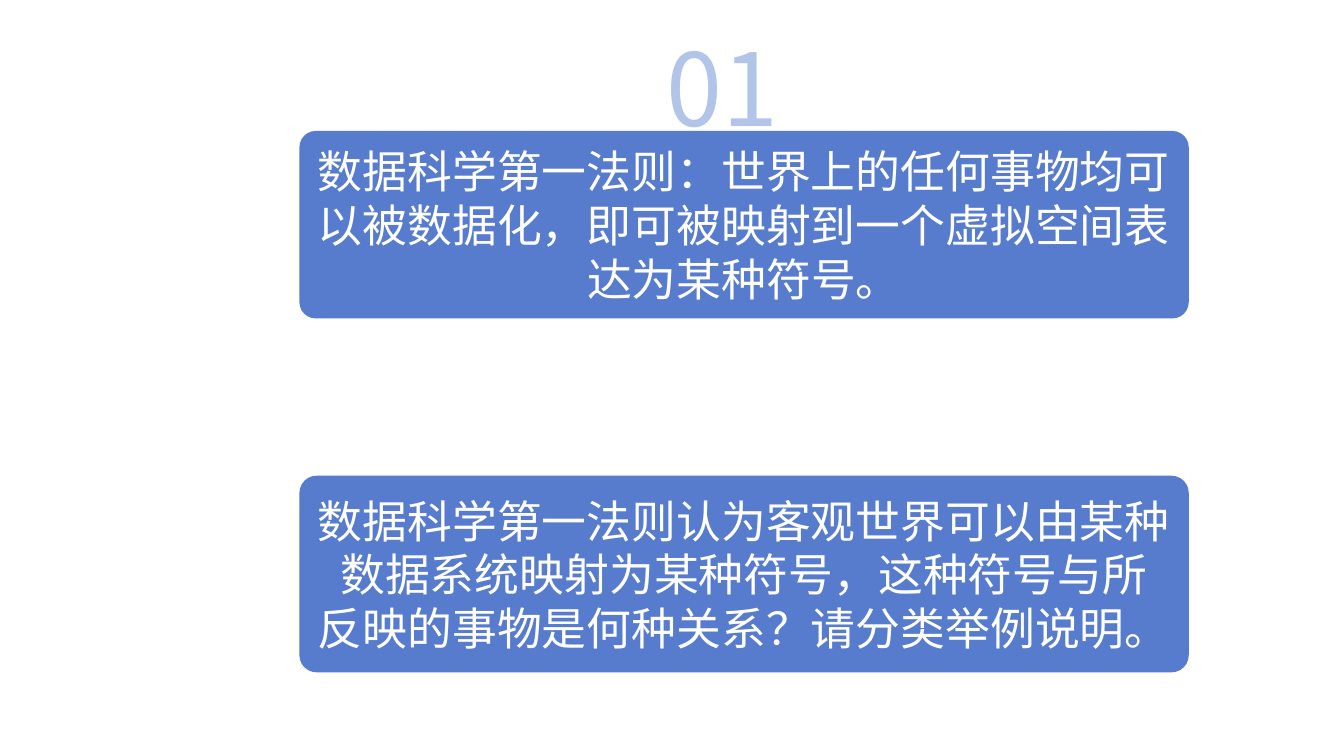
from dataclasses import dataclass

from lxml import etree
from pptx import Presentation
from pptx import util as u
from pptx.dml.color import RGBColor
from pptx.enum import shapes, text
from pptx.oxml import ns

WIDE, HIGH = u.Inches(13.33), u.Inches(7.5)
FACE = "Noto Sans CJK SC"
BLUE, PALE, WHITE = "577CCE", "B3C4E9", "FFFFFF"


@dataclass
class Card:
    top: float
    height: float
    lines: list[str]


# Tops and heights are shares of the slide's height.
CARDS = [
    Card(0.1733, 0.248, [
        "数据科学第一法则：世界上的任何事物均可以被数据化，即可被映射到一个虚拟空间表达为某种符号。",
    ]),
    Card(0.6293, 0.26, [
        "数据科学第一法则认为客观世界可以由某种数据系统映射为某种符号，这种符号与所",
        "反映的事物是何种关系？请分类举例说明。",
    ]),
]
LEFT, SPAN, ROUND = 0.2228, 0.6617, 0.087


def paint(fmt, tone: str) -> None:
    fmt.solid()
    fmt.fore_color.rgb = RGBColor.from_string(tone)


def place(left: float, top: float, width: float, height: float) -> list[int]:
    """Turn shares of the slide's size into lengths."""
    return [int(left * WIDE), int(top * HIGH), int(width * WIDE), int(height * HIGH)]


def write(frame, lines: list[str], size: int, tone: str) -> None:
    for i, line in enumerate(lines):
        para = frame.add_paragraph() if i else frame.paragraphs[0]
        para.text = line
        para.alignment = text.PP_ALIGN.CENTER
        font = para.font
        font.size = u.Pt(size)
        paint(font.fill, tone)
        font.name = FACE
        # East Asian characters take their face from a:ea.
        props = para._p.pPr.find(ns.qn("a:defRPr"))
        etree.SubElement(props, ns.qn("a:ea"), typeface=FACE)


def draw(slide, card: Card) -> None:
    box = slide.shapes.add_shape(
        shapes.MSO_SHAPE.ROUNDED_RECTANGLE,
        *place(LEFT, card.top, SPAN, card.height))
    box.adjustments[0] = ROUND
    box.shadow.inherit = False
    paint(box.fill, BLUE)
    box.line.fill.background()
    frame = box.text_frame
    frame.word_wrap = True
    frame.vertical_anchor = text.MSO_ANCHOR.MIDDLE
    write(frame, card.lines, 32, WHITE)


def main() -> None:
    deck = Presentation()
    deck.slide_width, deck.slide_height = WIDE, HIGH
    slide = deck.slides.add_slide(deck.slide_layouts[6])
    number = slide.shapes.add_textbox(*place(0.4884, 0.028, 0.0983, 0.1747))
    number.text_frame.word_wrap = False
    write(number.text_frame, ["01"], 72, PALE)
    for card in CARDS:
        draw(slide, card)
    deck.save("out.pptx")


if __name__ == "__main__":
    main()
